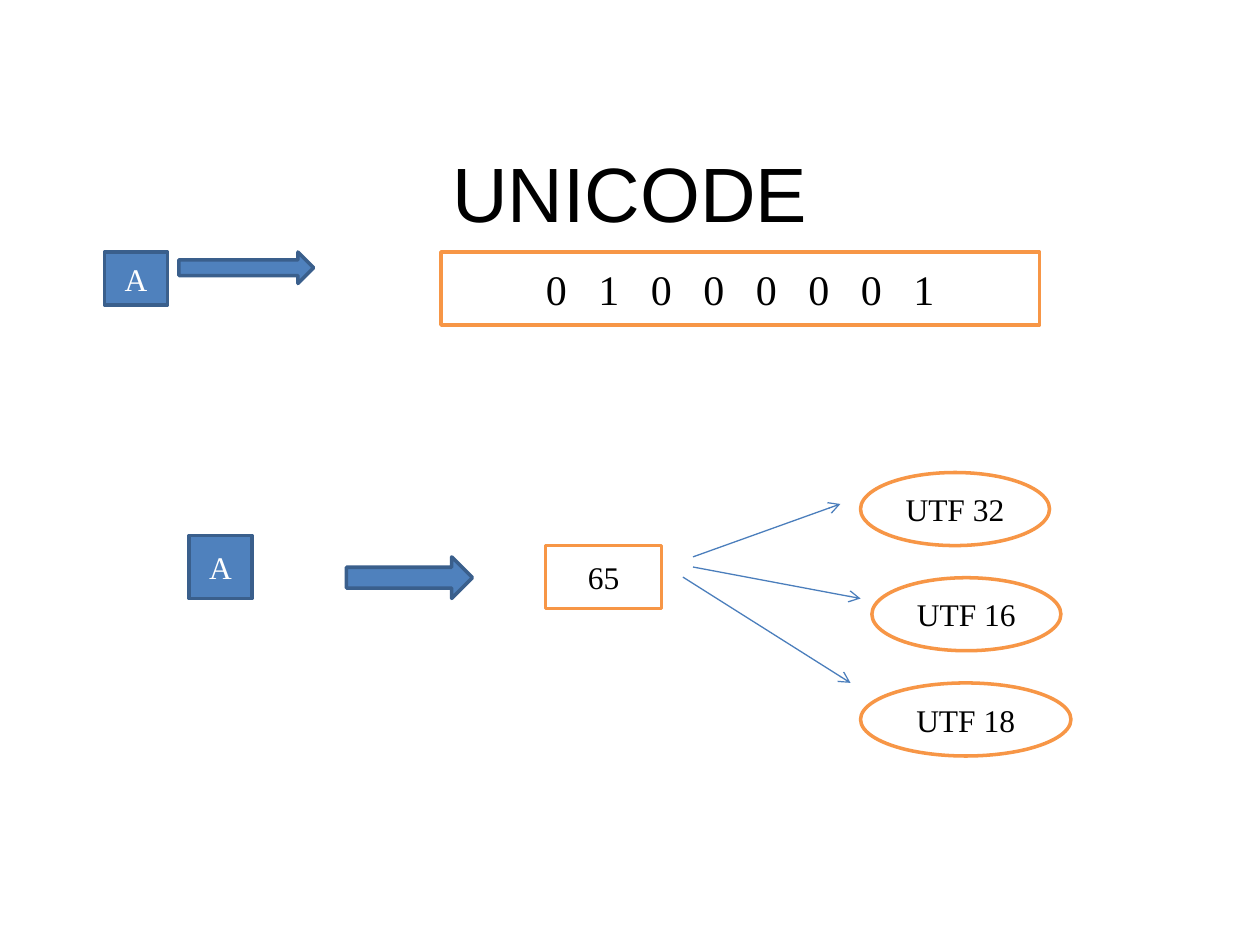
"""Build a slide showing how a letter becomes a Unicode number and its encodings."""
from pptx import Presentation
from pptx.dml.color import RGBColor
from pptx.enum.shapes import MSO_CONNECTOR, MSO_SHAPE
from pptx.enum.text import MSO_ANCHOR, PP_ALIGN
from pptx.oxml.ns import qn
from pptx.util import Inches, Pt
from lxml.etree import SubElement

BLACK = RGBColor(0x00, 0x00, 0x00)
WHITE = RGBColor(0xFF, 0xFF, 0xFF)
BLUE = RGBColor(0x4F, 0x81, 0xBD)
DARK_BLUE = RGBColor(0x3A, 0x5F, 0x8C)
LINE_BLUE = RGBColor(0x4B, 0x7E, 0xBC)
ORANGE = RGBColor(0xF7, 0x96, 0x46)

TITLE = "UNICODE"
SOLID = {"fill": BLUE, "outline": DARK_BLUE, "color": WHITE}
OUTLINED = {"fill": WHITE, "outline": ORANGE, "color": BLACK}
LETTERS = [("A", (0.83, 2, 0.5, 0.42)), ("A", (1.5, 4.25, 0.5, 0.5))]
BLOCK_ARROWS = [(1.42, 2, 1.07, 0.25), (2.75, 4.42, 1, 0.33)]
BITS = ("0 1 0 0 0 0 0 1", (3.5, 2, 4.75, 0.58))
CODE_POINT = ("65", (4.33, 4.33, 0.92, 0.5))
ENCODINGS = [
    ("UTF 32", 6.83, 1.5, (5.5, 4.42), (6.67, 4)),
    ("UTF 16", 6.92, 1.5, (5.5, 4.5), (6.83, 4.75)),
    ("UTF 18", 6.83, 1.67, (5.42, 4.58), (6.75, 5.42)),
]
ENCODING_TOP, ENCODING_STEP, ENCODING_HEIGHT = 3.75, 0.835, 0.58


def write(shape, text, size=18, font="Times New Roman", color=BLACK, spacing=0):
    frame = shape.text_frame
    frame.word_wrap = True
    frame.vertical_anchor = MSO_ANCHOR.MIDDLE
    para = frame.paragraphs[0]
    para.alignment = PP_ALIGN.CENTER
    span = para.add_run()
    span.text = text
    span.font.size = Pt(size)
    span.font.name = font
    span.font.color.rgb = color
    if spacing:
        span.font._element.set("spc", str(spacing * 100))


def add_box(page, kind, place, text="", fill=WHITE, outline=ORANGE, **text_format):
    box = page.shapes.add_shape(kind, *map(Inches, place))
    box.shadow.inherit = False
    box.fill.solid()
    box.fill.fore_color.rgb = fill
    box.line.color.rgb = outline
    box.line.width = Pt(2)
    frame = box.text_frame
    frame.margin_left = frame.margin_right = Inches(0.05)
    if text:
        write(box, text, **text_format)


def add_arrow(page, start, end):
    arrow = page.shapes.add_connector(MSO_CONNECTOR.STRAIGHT, *map(Inches, start + end))
    arrow.line.color.rgb = LINE_BLUE
    arrow.line.width = Pt(0.75)
    SubElement(arrow.line._get_or_add_ln(), qn("a:tailEnd"), type="arrow")
    SubElement(arrow._element.spPr, qn("a:effectLst"))


def main():
    deck = Presentation()
    deck.slide_width, deck.slide_height = Inches(10), Inches(7.5)
    page = deck.slides.add_slide(deck.slide_layouts[5])

    title = page.shapes.title
    title.left, title.top, title.width, title.height = map(Inches, (0.5, 0.3, 9, 2.45))
    write(title, TITLE, size=44, font="Arial")

    for place in BLOCK_ARROWS:
        add_box(page, MSO_SHAPE.RIGHT_ARROW, place, **SOLID)
    for letter, place in LETTERS:
        add_box(page, MSO_SHAPE.RECTANGLE, place, letter, **SOLID)
    bits, place = BITS
    add_box(page, MSO_SHAPE.RECTANGLE, place, bits, size=24, spacing=6, **OUTLINED)
    number, place = CODE_POINT
    add_box(page, MSO_SHAPE.RECTANGLE, place, number, **OUTLINED)

    for row, (name, left, width, start, end) in enumerate(ENCODINGS):
        add_arrow(page, start, end)
        top = ENCODING_TOP + row * ENCODING_STEP
        add_box(page, MSO_SHAPE.OVAL, (left, top, width, ENCODING_HEIGHT), name, **OUTLINED)

    deck.save("out.pptx")


if __name__ == "__main__":
    main()
